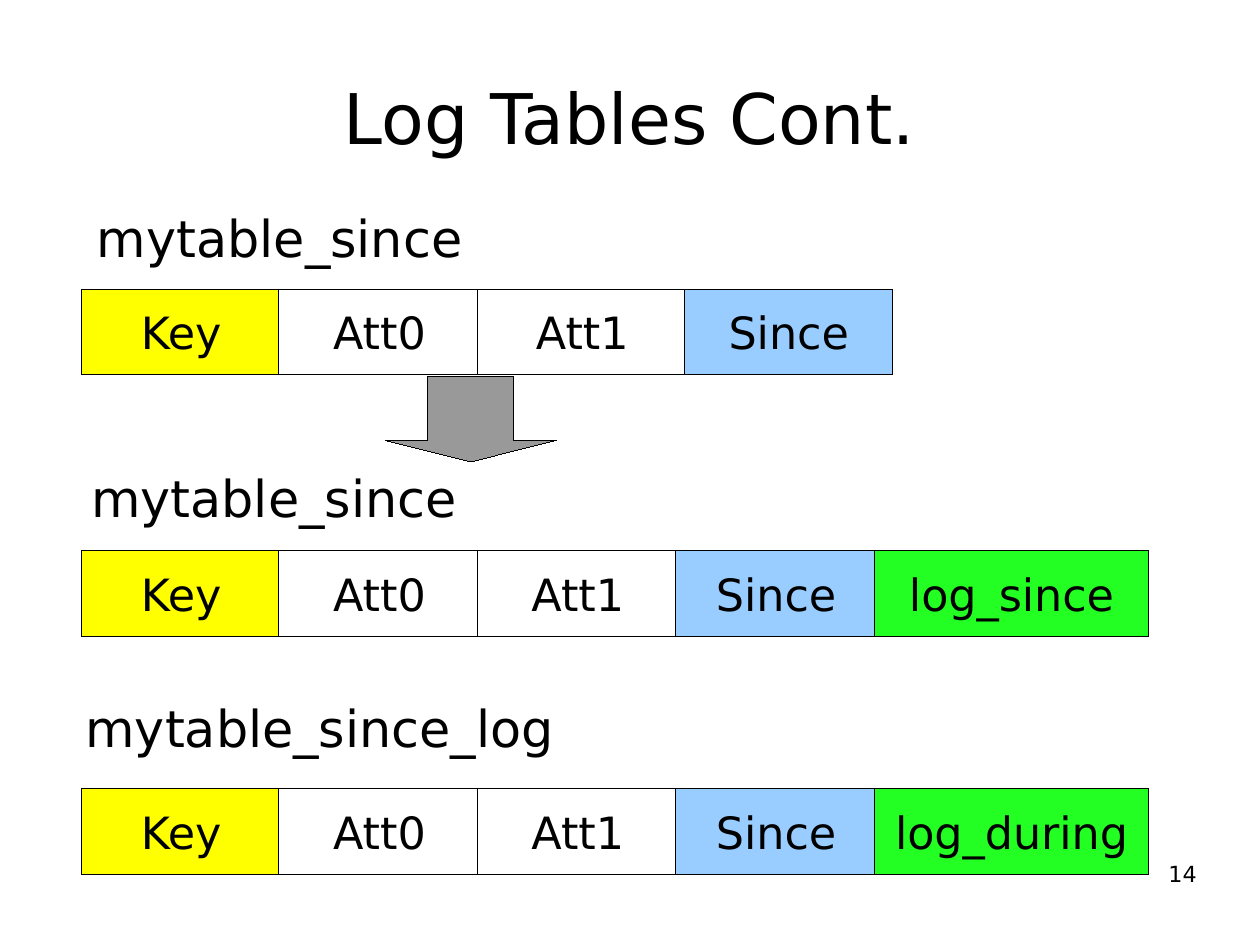
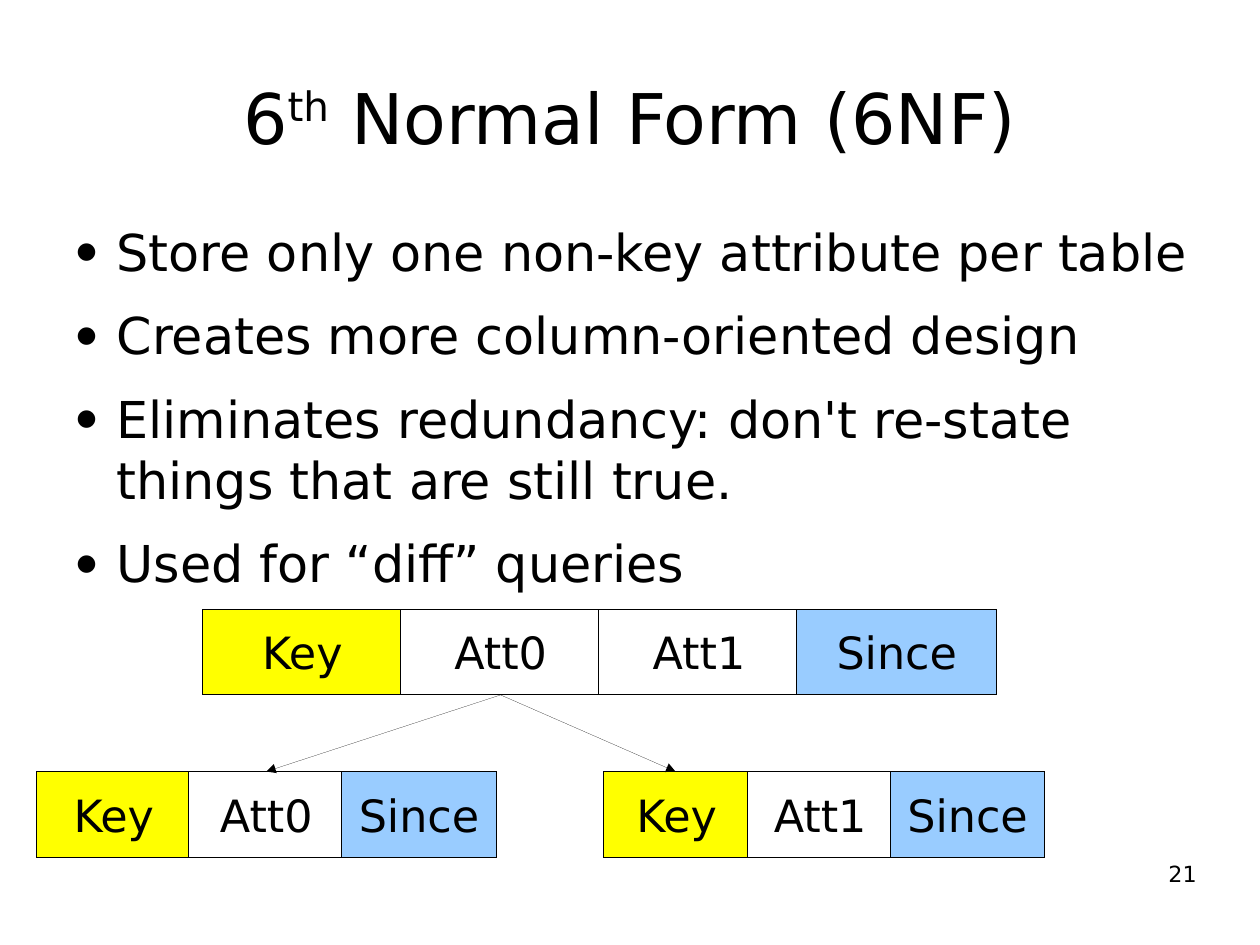
"""Build two slides on log tables and sixth normal form."""
from dataclasses import dataclass

from lxml.etree import SubElement
from pptx import Presentation
from pptx.dml.color import RGBColor
from pptx.enum.shapes import MSO_CONNECTOR as Connector, MSO_SHAPE as Shape
from pptx.enum.text import MSO_ANCHOR as Anchor, PP_ALIGN as Align
from pptx.oxml.ns import qn
from pptx.util import Inches, Pt


@dataclass(frozen=True)
class Theme:
    """Fonts, type sizes, colours and measures shared by the slides."""
    font: str = "DejaVu Sans"
    title: float = 44
    body: float = 32
    cell: float = 28
    number: float = 14
    ink: str = "000000"
    plain: str = "FFFFFF"
    key: str = "FFFF00"
    since: str = "99CCFF"
    log: str = "23FF23"
    arrow: str = "999999"
    cell_height: float = 0.75
    overlap: float = 0.02


THEME = Theme()
CM_PER_INCH = 2.54
FILLS = {"Key": THEME.key, "Since": THEME.since,
         "log_since": THEME.log, "log_during": THEME.log}


def style_font(font, size):
    """Apply the shared typeface and text colour at a size."""
    font.name = THEME.font
    font.size = Pt(size)
    font.color.rgb = RGBColor.from_string(THEME.ink)


def style_hairline(line):
    """Give a line the ink colour and an explicit zero width, and return its element."""
    line.color.rgb = RGBColor.from_string(THEME.ink)
    element = line._get_or_add_ln()
    element.set("w", "0")
    return element


def add_text(page, at, text, size, align=Align.LEFT, anchor=Anchor.TOP, margins=(0, 0), wrap=True):
    """Add a text box, one paragraph per line, and return its frame."""
    frame = page.shapes.add_textbox(*map(Inches, at)).text_frame
    frame.word_wrap = wrap
    frame.vertical_anchor = anchor
    frame.margin_left = frame.margin_right = Inches(margins[0])
    frame.margin_top = frame.margin_bottom = Inches(margins[1])
    frame.text = text
    for para in frame.paragraphs:
        para.alignment = align
        for span in para.runs:
            style_font(span.font, size)
    return frame


def add_page(deck, number, title, superscript="", rest=""):
    """Add a blank slide with a centred title and a page number."""
    page = deck.slides.add_slide(deck.slide_layouts[6])
    frame = add_text(page, (0.55, 0.38, 9.92, 1.28), title, THEME.title, Align.CENTER, Anchor.MIDDLE)
    for text, baseline in ((superscript, 33000), (rest, 0)):
        if text:
            span = frame.paragraphs[0].add_run()
            span.text = text
            style_font(span.font, THEME.title)
            span.font._element.set("baseline", str(baseline))
    add_text(page, (7.9, 7.53, 2.57, 0.57), str(number), THEME.number, Align.RIGHT)
    return page


def add_bullets(page, at, items):
    """Add a list with small round bullets."""
    frame = add_text(page, at, "\n".join(items), THEME.body)
    for para in frame.paragraphs:
        para.space_after = Pt(14.2)
        props = para._p.get_or_add_pPr()
        props.set("marL", str(Inches(0.47)))
        props.set("indent", str(Inches(-0.35)))
        colour = SubElement(props, qn("a:buClr"))
        SubElement(colour, qn("a:srgbClr"), val=THEME.ink)
        SubElement(props, qn("a:buSzPct"), val="45000")
        SubElement(props, qn("a:buFont"), typeface=THEME.font)
        SubElement(props, qn("a:buChar"), char="●")


def add_label(page, left, top, width, text):
    """Add the name of a table above its row."""
    add_text(page, (left, top, width, 0.62), text, THEME.body, margins=(0.1, 0.05), wrap=False)


def add_block(page, kind, at, fill):
    """Add a filled shape with a hairline outline."""
    block = page.shapes.add_shape(kind, *map(Inches, at))
    block.shadow.inherit = False
    block.fill.solid()
    block.fill.fore_color.rgb = RGBColor.from_string(fill)
    style_hairline(block.line)
    return block


def add_row(page, left, top, columns):
    """Add a row of column boxes from name and width pairs."""
    for name, width in columns:
        at = (left, top, width, THEME.cell_height)
        box = add_block(page, Shape.RECTANGLE, at, FILLS.get(name, THEME.plain))
        frame = box.text_frame
        frame.text = name
        frame.vertical_anchor = Anchor.MIDDLE
        para = frame.paragraphs[0]
        para.alignment = Align.CENTER
        style_font(para.runs[0].font, THEME.cell)
        left += width - THEME.overlap


def add_arrow(page, start, end):
    """Add a thin straight arrow."""
    arrow = page.shapes.add_connector(Connector.STRAIGHT, *map(Inches, start + end))
    SubElement(style_hairline(arrow.line), qn("a:tailEnd"), type="triangle")
    SubElement(arrow._element.spPr, qn("a:effectLst"))


def build_log_tables(deck):
    """Show a table gaining a log column and a log table."""
    page = add_page(deck, 14, "Log Tables Cont.")
    base = [("Key", 1.75), ("Att0", 1.76)]
    logged = base + [("Att1", 1.75), ("Since", 1.76)]
    add_label(page, 0.75, 1.76, 3.4, "mytable_since")
    add_label(page, 0.7, 4.03, 3.4, "mytable_since")
    add_label(page, 0.65, 6.05, 4.3, "mytable_since_log")
    add_row(page, 0.71, 2.53, base + [("Att1", 1.83), ("Since", 1.82)])
    add_row(page, 0.71, 4.82, logged + [("log_since", 2.4)])
    add_row(page, 0.71, 6.9, logged + [("log_during", 2.4)])
    arrow = add_block(page, Shape.DOWN_ARROW, (3.37, 3.29, 1.5, 0.75), THEME.arrow)
    arrow.adjustments[0] = 0.5
    arrow.adjustments[1] = 0.25


def build_normal_form(deck):
    """Show a table split into one table per attribute."""
    page = add_page(deck, 21, "6", "th", " Normal Form (6NF)")
    add_bullets(page, (0.55, 1.93, 9.92, 5.36), [
        "Store only one non-key attribute per table",
        "Creates more column-oriented design",
        "Eliminates redundancy: don't re-state things that are still true.",
        "Used for “diff” queries",
    ])
    add_row(page, 1.77, 5.33, [("Key", 1.75), ("Att0", 1.76), ("Att1", 1.75), ("Since", 1.75)])
    add_row(page, 0.32, 6.75, [("Key", 1.35), ("Att0", 1.36), ("Since", 1.35)])
    add_row(page, 5.28, 6.75, [("Key", 1.28), ("Att1", 1.27), ("Since", 1.35)])
    for target in (5.91, 2.33):
        add_arrow(page, (4.38, 6.08), (target, 6.75))


def main():
    """Build and save the deck."""
    deck = Presentation()
    deck.slide_width = Inches(28 / CM_PER_INCH)
    deck.slide_height = Inches(21 / CM_PER_INCH)
    build_log_tables(deck)
    build_normal_form(deck)
    deck.save("out.pptx")


if __name__ == "__main__":
    main()
